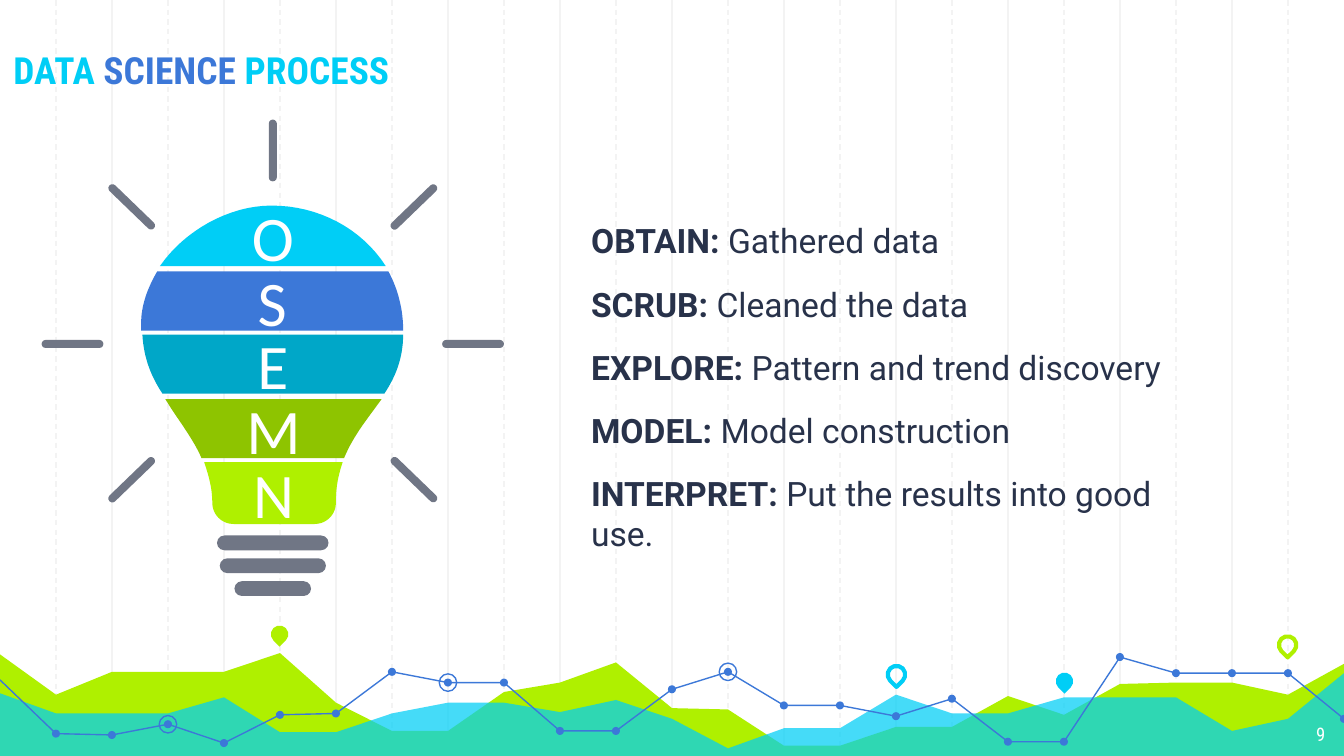
from pptx import Presentation
from pptx.dml.color import RGBColor
from pptx.enum.dml import MSO_LINE
from pptx.enum.shapes import MSO_CONNECTOR, MSO_SHAPE as Preset
from pptx.enum.text import MSO_ANCHOR as Anchor, MSO_AUTO_SIZE, PP_ALIGN as Align
from pptx.oxml.ns import qn
from pptx.util import Cm, Pt
from lxml.etree import SubElement

COLORS = {
    "cyan": "00CEF6", "blue": "3C78D8", "teal": "00A7C8", "green": "8EC400",
    "lime": "AFF000", "gray": "707685", "grid": "F3F3F3", "ink": "28324A", "white": "FFFFFF",
}
STEP = 5 / 12
LIME_WAVE = [4.87, 5.17, 5, 5, 5, 4.86, 5.23, 5.44, 5.44, 5.15, 5.08, 4.93, 5.27,
             5.28, 5.55, 5.55, 5.41, 5.41, 5.18, 5.32, 5.09, 5.08, 5.08, 5.17, 4.94]
CYAN_WAVE = [5.16, 5.31, 5.31, 5.31, 5.19, 5.45, 5.45, 5.31, 5.23, 5.23, 5.3, 5.21, 5.35,
             5.57, 5.42, 5.42, 5.17, 5.31, 5.31, 5.19, 5.19, 5.19, 5.44, 5.35, 5.01]
TREND = [5.06, 5.46, 5.47, 5.39, 5.53, 5.32, 5.31, 5, 5.08, 5.08, 5.44, 5.44, 5.13,
         5, 5.25, 5.25, 5.33, 5.2, 5.52, 5.52, 4.89, 5.01, 5.01, 5.01, 5.35]
TREND_PARTS = [(0, 11), (11, 20), (20, 24)]
RINGED = [3, 8, 13]
PINS = [(2.08, 4.72, "lime", True), (6.67, 5.02, "cyan", False),
        (7.92, 5.07, "cyan", True), (9.58, 4.8, "lime", False)]
BANDS = [
    ("O", "cyan", [(2.87, 1.98), (2.69, 1.7, 2.37, 1.53, 2.02, 1.53),
                   (1.7, 1.53, 1.37, 1.72, 1.19, 1.98)]),
    ("S", "blue", [(3, 2.46), (3, 2.3, 2.96, 2.15, 2.89, 2.02), (1.17, 2.02),
                   (1.1, 2.14, 1.05, 2.27, 1.05, 2.41), (1.05, 2.46)]),
    ("E", "teal", [(1.06, 2.49), (1.07, 2.67, 1.13, 2.81, 1.21, 2.93), (2.86, 2.93),
                   (2.94, 2.81, 3, 2.67, 3, 2.49)]),
    ("M", "green", [(2.84, 2.97), (1.23, 2.97), (1.32, 3.12, 1.43, 3.25, 1.5, 3.41),
                    (2.56, 3.41), (2.63, 3.24, 2.74, 3.11, 2.84, 2.97)]),
    ("N", "lime", [(1.52, 3.44), (1.55, 3.53, 1.58, 3.63, 1.58, 3.74),
                   (1.58, 3.83, 1.65, 3.9, 1.74, 3.9), (2.34, 3.9),
                   (2.43, 3.9, 2.5, 3.83, 2.5, 3.74), (2.5, 3.72),
                   (2.5, 3.62, 2.52, 3.53, 2.55, 3.44)]),
]
RAYS = [(2.03, 1.12, 90), (0.54, 2.56, 0), (3.52, 2.56, 0), (0.98, 1.54, 44),
        (3.08, 3.57, 44), (0.98, 3.57, -44), (3.08, 1.54, -44)]
BASE_WIDTHS = [0.83, 0.79, 0.57]
STAGES = [("OBTAIN: ", "Gathered data", 3.83), ("SCRUB: ", "Cleaned the data", 4.16),
          ("EXPLORE: ", "Pattern and trend discovery", 4.49),
          ("MODEL: ", "Model construction", 3.44),
          ("INTERPRET: ", "Put the results into good use.", 4.74)]


def inch(value):
    """Convert inches to a Cm length."""
    return Cm(value * 2.54)


def rgb(name):
    """Look up a named colour."""
    return RGBColor.from_string(COLORS[name])


def paint(shape, fill=None, line=None, weight=0.75, alpha=None):
    """Set fill, outline and opacity, without shadow."""
    shape.shadow.inherit = False
    if fill:
        shape.fill.solid()
        shape.fill.fore_color.rgb = rgb(fill)
        if alpha:
            color = shape.fill._xPr.find(qn("a:solidFill"))[0]
            SubElement(color, qn("a:alpha")).set("val", str(alpha * 1000))
    else:
        shape.fill.background()
    if line:
        shape.line.color.rgb = rgb(line)
        shape.line.width = Pt(weight)
    else:
        shape.line.fill.background()


def write(shape, spans, size=18, font="Roboto", align=Align.LEFT, anchor=Anchor.TOP,
          margins=(0.1, 0.1), before=0):
    """Write one paragraph from (text, colour, bold) spans."""
    frame = shape.text_frame
    frame.word_wrap = True
    frame.auto_size = MSO_AUTO_SIZE.NONE
    frame.vertical_anchor = anchor
    frame.margin_left = frame.margin_right = inch(margins[0])
    frame.margin_top = frame.margin_bottom = inch(margins[1])
    para = frame.paragraphs[0]
    para.alignment = align
    para.space_before = Pt(before)
    for text, color, bold in spans:
        span = para.add_run()
        span.text = text
        span.font.size, span.font.name, span.font.bold = Pt(size), font, bold
        span.font.color.rgb = rgb(color)


def add_text(page, left, top, width, height, spans, **style):
    """Add a text box."""
    box = page.shapes.add_textbox(inch(left), inch(top), inch(width), inch(height))
    write(box, spans, **style)


def add_preset(page, preset, center, width, height, turn=0, **look):
    """Add a preset shape around its centre."""
    shape = page.shapes.add_shape(preset, inch(center[0] - width / 2), inch(center[1] - height / 2),
                                  inch(width), inch(height))
    shape.rotation = turn
    paint(shape, **look)
    return shape


def add_outline(page, points, closed=True, **look):
    """Add a freeform through the points."""
    places = [(inch(x), inch(y)) for x, y in points]
    builder = page.shapes.build_freeform(*places[0])
    builder.add_line_segments(places[1:], close=closed)
    shape = builder.convert_to_shape()
    paint(shape, **look)
    return shape


def trace(segments, steps=16):
    """Turn straight and cubic segments into points."""
    points = [segments[0]]
    for segment in segments[1:]:
        if len(segment) == 2:
            points.append(segment)
            continue
        knots = [points[-1], segment[:2], segment[2:4], segment[4:]]
        for t in (i / steps for i in range(1, steps + 1)):
            weights = [(1 - t) ** 3, 3 * t * (1 - t) ** 2, 3 * t ** 2 * (1 - t), t ** 3]
            points.append(tuple(sum(w * knot[axis] for w, knot in zip(weights, knots))
                                for axis in (0, 1)))
    return points


def on_grid(heights):
    """Pair heights with the grid columns."""
    return [(i * STEP, y) for i, y in enumerate(heights)]


def add_grid(page):
    """Draw alternating dashed and solid vertical lines."""
    for i in range(1, 24):
        x = inch(i * STEP)
        rule = page.shapes.add_connector(MSO_CONNECTOR.STRAIGHT, x, 0, x, inch(5.65))
        rule.line.color.rgb = rgb("grid")
        rule.line.width = Pt(0.75)
        if i % 2:
            rule.line.dash_style = MSO_LINE.DASH
        SubElement(rule._element.spPr, qn("a:effectLst"))


def add_landscape(page):
    """Draw the waves, trend line and pins."""
    for heights, color, alpha in ((LIME_WAVE, "lime", None), (CYAN_WAVE, "cyan", 73)):
        floor = [(10.02, 5.64), (-0.03, 5.64)]
        add_outline(page, on_grid(heights) + floor, fill=color, alpha=alpha)
    for x, y, color, solid in PINS:
        look = {"fill": color} if solid else {"line": color, "weight": 2.25}
        add_preset(page, Preset.TEAR, (x, y), 0.13, 0.13, turn=135, **look)
    points = on_grid(TREND)
    for first, last in TREND_PARTS:
        add_outline(page, points[first:last + 1], closed=False, line="blue")
    for point in points[1:]:
        add_preset(page, Preset.OVAL, point, 0.06, 0.06, fill="blue")
    for i in RINGED:
        add_preset(page, Preset.OVAL, points[i], 0.13, 0.13, line="blue")


def add_bulb(page):
    """Draw the lettered light bulb with rays and base."""
    for letter, color, segments in BANDS:
        band = add_outline(page, trace(segments), fill=color)
        write(band, [(letter, "white", False)], size=34, font="Calibri", align=Align.CENTER,
              anchor=Anchor.MIDDLE, margins=(0.07, 0.04))
    bars = [((x, y), 0.46, 0.06, turn) for x, y, turn in RAYS]
    bars += [((2.03, 4.04 + 0.17 * i), width, 0.11, 0) for i, width in enumerate(BASE_WIDTHS)]
    for center, width, height, turn in bars:
        bar = add_preset(page, Preset.ROUNDED_RECTANGLE, center, width, height, turn, fill="gray")
        bar.adjustments[0] = 0.5


def add_title(page):
    """Place the title above the background."""
    title = page.shapes.title
    title.left, title.top, title.width, title.height = 0, 0, inch(10), inch(1.03)
    write(title, [("DATA ", "cyan", True), ("SCIENCE ", "blue", True), ("PROCESS", "cyan", True)],
          size=20, font="Roboto Condensed", anchor=Anchor.MIDDLE)
    page.shapes._spTree.append(title._element)


def main():
    """Build and save the slide."""
    deck = Presentation()
    deck.slide_width, deck.slide_height = Cm(25.4), Cm(14.29)
    page = deck.slides.add_slide(deck.slide_layouts[5])
    add_grid(page)
    add_landscape(page)
    add_text(page, 9.36, 5.28, 0.6, 0.35, [("9", "white", False)], size=10,
             font="Roboto Condensed", align=Align.RIGHT)
    add_bulb(page)
    for i, (name, detail, width) in enumerate(STAGES):
        add_text(page, 4.3, 1.54 + 0.47 * i, width, 0.47,
                 [(name, "ink", True), (detail, "ink", False)], before=6)
    add_title(page)
    deck.save("out.pptx")


if __name__ == "__main__":
    main()
